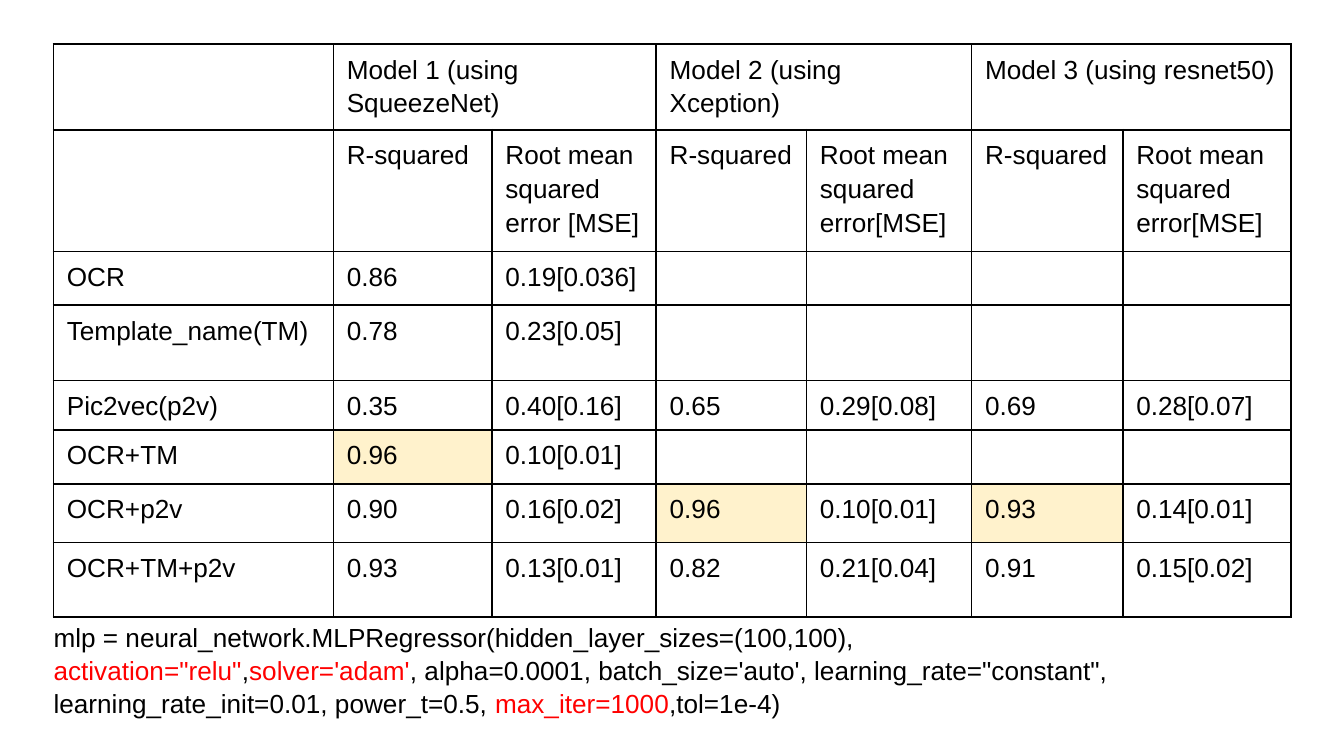
from lxml import etree
from pptx import Presentation
from pptx.dml.color import RGBColor
from pptx.enum.text import MSO_ANCHOR
from pptx.oxml.ns import qn
from pptx.util import Pt

MIDDLE = MSO_ANCHOR.MIDDLE
COLORS = {"text": "000000", "border": "000000", "tuned": "FF0000", "best": "FFF2CC"}
COLUMN_WIDTHS = [150, 85, 88, 80.5, 88.5, 81, 90]
ROW_HEIGHTS = [43.4, 61.2, 27.6, 40.3, 25.2, 27.4, 31.6, 39.7]
MODELS = ["SqueezeNet", "Xception", "resnet50"]
RESULTS = [
    ["", "R-squared", "Root mean squared error [MSE]", "R-squared",
     "Root mean squared error[MSE]", "R-squared", "Root mean squared error[MSE]"],
    ["OCR", "0.86", "0.19[0.036]", "", "", "", ""],
    ["Template_name(TM)", "0.78", "0.23[0.05]", "", "", "", ""],
    ["Pic2vec(p2v)", "0.35", "0.40[0.16]", "0.65", "0.29[0.08]", "0.69", "0.28[0.07]"],
    ["OCR+TM", "0.96", "0.10[0.01]", "", "", "", ""],
    ["OCR+p2v", "0.90", "0.16[0.02]", "0.96", "0.10[0.01]", "0.93", "0.14[0.01]"],
    ["OCR+TM+p2v", "0.93", "0.13[0.01]", "0.82", "0.21[0.04]", "0.91", "0.15[0.02]"],
]
BEST_SCORES = {(5, 1), (6, 3), (6, 5)}
MLP_CALL = [
    ("mlp = neural_network.MLPRegressor(hidden_layer_sizes=(100,100), ", "text"),
    ('activation="relu"', "tuned"),
    (",", "text"),
    ("solver='adam'", "tuned"),
    (", alpha=0.0001, batch_size='auto', learning_rate=\"constant\", "
     "learning_rate_init=0.01, power_t=0.5, ", "text"),
    ("max_iter=1000", "tuned"),
    (",tol=1e-4)", "text"),
]


def add_text(paragraph, text, color="text", size=14, font="Arial", spacing=1.15):
    """Append one formatted run to a paragraph."""
    paragraph.line_spacing = spacing
    run = paragraph.add_run()
    run.text = text
    run.font.name = font
    run.font.size = Pt(size)
    run.font.color.rgb = RGBColor.from_string(COLORS[color])


def add_borders(cell, width=1):
    """Draw a solid line on all four sides of a cell."""
    properties = cell._tc.get_or_add_tcPr()
    for position, side in enumerate(("a:lnL", "a:lnR", "a:lnT", "a:lnB")):
        line = etree.Element(qn(side), w=str(Pt(width)))
        fill = etree.SubElement(line, qn("a:solidFill"))
        etree.SubElement(fill, qn("a:srgbClr"), val=COLORS["border"])
        properties.insert(position, line)


def format_cell(cell, best):
    """Set the fill, margins and borders of a cell."""
    if best:
        cell.fill.solid()
        cell.fill.fore_color.rgb = RGBColor.from_string(COLORS["best"])
    else:
        cell.fill.background()
    cell.margin_left = cell.margin_right = Pt(7.2)
    cell.margin_top = cell.margin_bottom = Pt(3.6)
    add_borders(cell)


def add_results_table(slide):
    """Add the table that compares the three models."""
    table = slide.shapes.add_table(
        len(ROW_HEIGHTS), len(COLUMN_WIDTHS), Pt(28.6), Pt(23.7),
        Pt(sum(COLUMN_WIDTHS)), Pt(sum(ROW_HEIGHTS))).table
    table.first_row = table.horz_banding = False
    for column, width in zip(table.columns, COLUMN_WIDTHS):
        column.width = Pt(width)

    model_row = [""]
    for number, network in enumerate(MODELS, 1):
        model_row += [f"Model {number} (using {network})", ""]
        first = 2 * number - 1
        table.cell(0, first).merge(table.cell(0, first + 1))

    for r, (height, values) in enumerate(zip(ROW_HEIGHTS, [model_row, *RESULTS])):
        table.rows[r].height = Pt(height)
        for c, value in enumerate(values):
            cell = table.cell(r, c)
            format_cell(cell, (r, c) in BEST_SCORES)
            if value:
                add_text(cell.text_frame.paragraphs[0], value)


def add_mlp_call(slide):
    """Add the regressor call with its tuned arguments in red."""
    frame = slide.shapes.add_textbox(Pt(21.6), Pt(338.4), Pt(622.8), Pt(59.8)).text_frame
    frame.word_wrap = True
    frame.vertical_anchor = MIDDLE
    frame.margin_left = frame.margin_right = frame.margin_top = Pt(7.2)
    frame.margin_bottom = Pt(27)
    for text, color in MLP_CALL:
        add_text(frame.paragraphs[0], text, color=color, spacing=1.05)


def main():
    """Build the slide and save it."""
    presentation = Presentation()
    presentation.slide_width = Pt(720)
    presentation.slide_height = Pt(405)
    slide = presentation.slides.add_slide(presentation.slide_layouts[6])
    add_mlp_call(slide)
    add_results_table(slide)
    presentation.save("out.pptx")


if __name__ == "__main__":
    main()
